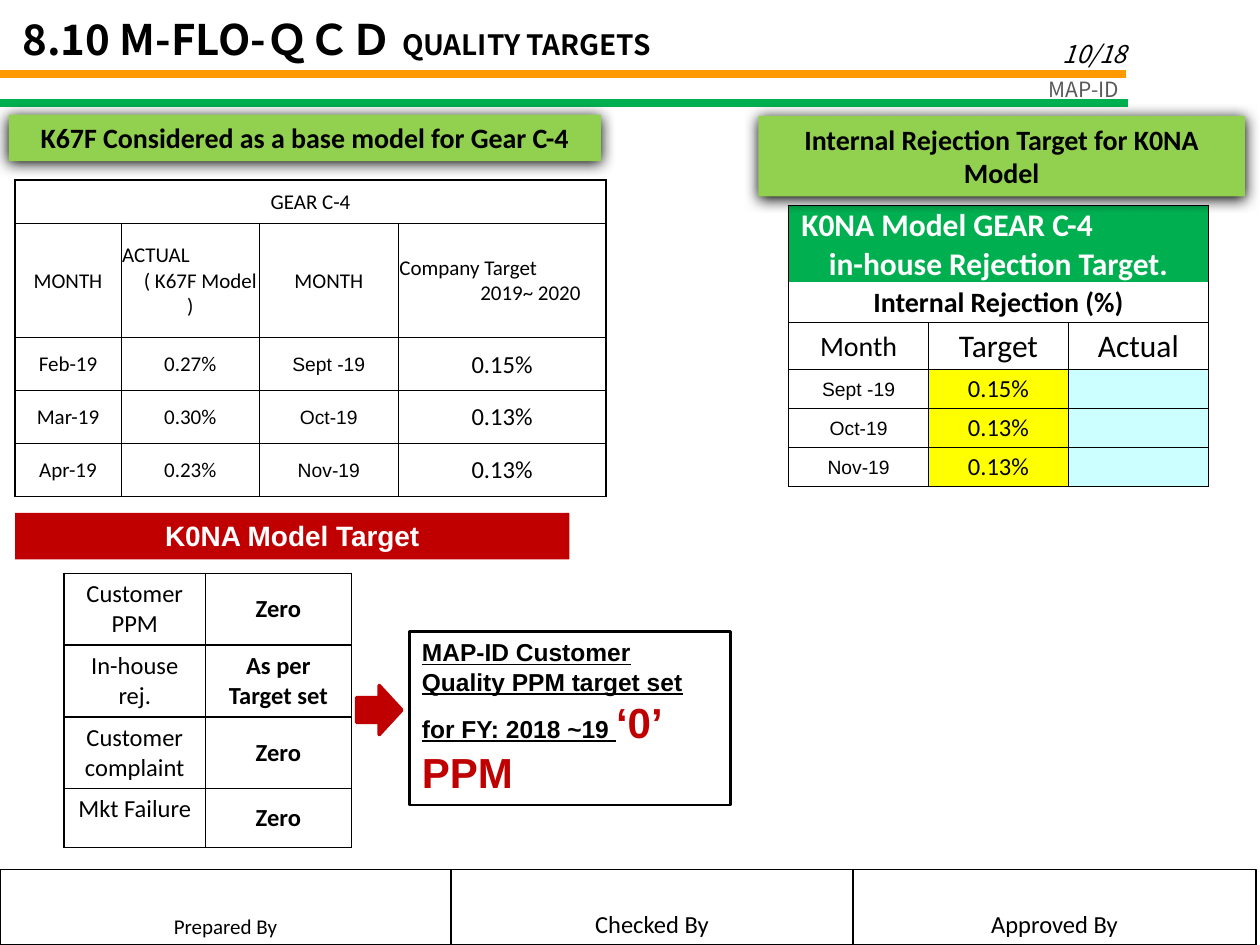
from lxml import etree
from pptx import Presentation
from pptx.dml.color import RGBColor
from pptx.enum.shapes import MSO_CONNECTOR, MSO_SHAPE
from pptx.enum.text import MSO_ANCHOR, PP_ALIGN
from pptx.oxml.ns import qn
from pptx.util import Inches, Pt

LEFT, CENTER, RIGHT = PP_ALIGN.LEFT, PP_ALIGN.CENTER, PP_ALIGN.RIGHT
TOP, MIDDLE, BOTTOM = MSO_ANCHOR.TOP, MSO_ANCHOR.MIDDLE, MSO_ANCHOR.BOTTOM
RECT, ARROW = MSO_SHAPE.RECTANGLE, MSO_SHAPE.RIGHT_ARROW
SANS, BODY, HEAD = "Arial", "Calibri", "Noto Sans CJK JP"
COLORS = {
    "black": "000000", "white": "FFFFFF", "grey": "595959", "orange": "FF9900",
    "green": "00B050", "lime": "92D050", "red": "C00000",
    "yellow": "FFFF00", "cyan": "CCFFFF",
}

prs = Presentation()
prs.slide_width, prs.slide_height = Inches(10), Inches(7.5)
slide = prs.slides.add_slide(prs.slide_layouts[6])
# Grid of 100 columns by 75 rows
COL, ROW = prs.slide_width / 100, prs.slide_height / 75


def write(frame, paragraphs, anchor=TOP):
    """Each paragraph is (alignment, first-line indent, runs);
    each run is (text, size, font, colour, style letters)."""
    frame.word_wrap = True
    frame.vertical_anchor = anchor
    for number, (align, indent, runs) in enumerate(paragraphs):
        paragraph = frame.add_paragraph() if number else frame.paragraphs[0]
        paragraph.alignment = align
        if indent:
            paragraph._p.get_or_add_pPr().set("indent", str(int(indent * COL)))
        for text, size, font, color, style in runs:
            run = paragraph.add_run()
            run.text = text
            run.font.size, run.font.name = Pt(size), font
            run.font.color.rgb = RGBColor.from_string(COLORS[color])
            run.font.bold, run.font.italic = "b" in style, "i" in style
            run.font.underline = "u" in style


def add_box(shapes, kind, place, fill=None, line=None, width=1):
    left, top, wide, high = place
    box = shapes.add_shape(kind, int(left * COL), int(top * ROW), int(wide * COL), int(high * ROW))
    box.shadow.inherit = False
    if fill:
        box.fill.solid()
        box.fill.fore_color.rgb = RGBColor.from_string(COLORS[fill])
    else:
        box.fill.background()
    if line:
        box.line.color.rgb = RGBColor.from_string(COLORS[line])
        box.line.width = Pt(width)
    else:
        box.line.fill.background()
    return box


# Header rules
for right, y, color in ((89.4, 5.9, "orange"), (89.5, 8.2, "green")):
    rule = slide.shapes.add_connector(
        MSO_CONNECTOR.STRAIGHT, 0, int(y * ROW), int(right * COL), int(y * ROW))
    rule.line.color.rgb = RGBColor.from_string(COLORS[color])
    rule.line.width = Pt(4.5)
    etree.SubElement(rule._element.spPr, qn("a:effectLst"))

# Page number, document mark and title
headings = [
    ((69.6, 0.9, 20.8, 5), RIGHT, BOTTOM, [("10/18", 14, HEAD, "black", "i")]),
    ((74.8, 5.6, 15, 3), RIGHT, TOP, [("MAP-ID", 12, HEAD, "grey", "")]),
    ((0.8, 0.6, 88.8, 5), LEFT, TOP, [("8.10 M-FLO-ＱＣＤ ", 24, HEAD, "black", "b"),
                                      ("QUALITY TARGETS", 16, HEAD, "black", "b")]),
]
for (left, top, wide, high), align, anchor, runs in headings:
    heading = slide.shapes.add_textbox(int(left * COL), int(top * ROW), int(wide * COL), int(high * ROW))
    write(heading.text_frame, [(align, 0, runs)], anchor)

# Cell styles: size, font, colour, style letters
plain, month, value = (12, BODY, "black", ""), (11, SANS, "black", ""), (14, BODY, "black", "")
bold, large, label = (14, BODY, "black", "b"), (18, BODY, "black", ""), (16, BODY, "black", "")
banner, subtitle = (18, BODY, "white", "b"), (16, BODY, "black", "b")

# Cells hold (text or paragraphs, style, fill)
goals = [("Customer PPM", "Zero"), ("In-house rej.", "As per Target set"),
         ("Customer complaint", "Zero"), ("Mkt Failure", "Zero")]
goal_rows = [[(name, value, None), (goal, bold, None)] for name, goal in goals]

targets = [("Sept -19", "0.15%"), ("Oct-19", "0.13%"), ("Nov-19", "0.13%")]
rejection_rows = [
    [([("K0NA Model GEAR C-4", LEFT, 0.9), ("in-house Rejection Target.", CENTER, 0)], banner, "green")],
    [("Internal Rejection (%)", subtitle, None)],
    [("Month", label, None), ("Target", large, None), ("Actual", large, None)],
] + [[(when, month, None), (target, value, "yellow"), ("", month, "cyan")] for when, target in targets]

actuals = [("Feb-19", "0.27%"), ("Mar-19", "0.30%"), ("Apr-19", "0.23%")]
base_rows = [
    [("GEAR C-4", plain, None)],
    [("MONTH", plain, None),
     ([("ACTUAL", LEFT, 0), ("( K67F Model )", CENTER, 1.6)], plain, None),
     ("MONTH", plain, None),
     ([("Company Target", LEFT, 0), ("2019~ 2020", CENTER, 4.5)], plain, None)],
] + [[(past, plain, None), (actual, plain, None), (when, month, None), (target, value, None)]
     for (past, actual), (when, target) in zip(actuals, targets)]

# Tables: position, column widths, row heights, cells, inner and bottom line, tight margins
tables = [
    ((5.1, 45.5), [11.2, 11.6], [5.7, 5.7, 5.6, 4.7], goal_rows, 1, 1, False),
    ((62.6, 16.3), [11.1] * 3, [6.1, 3.2, 3.7, 3, 3, 3.1], rejection_rows, 0.5, 0.5, True),
    ((1.2, 14.3), [8.4, 11, 11, 16.5], [3.4, 9.1, 4.2, 4.2, 4.2], base_rows, 0.5, 1, True),
]
for (left, top), widths, heights, rows, inner, bottom, tight in tables:
    table = slide.shapes.add_table(
        len(heights), len(widths), int(left * COL), int(top * ROW),
        int(sum(widths) * COL), int(sum(heights) * ROW)).table
    table.first_row = table.horz_banding = False
    for column, wide in zip(table.columns, widths):
        column.width = int(wide * COL)
    last_row, last_column = len(heights) - 1, len(widths) - 1
    for r, (row, high) in enumerate(zip(rows, heights)):
        table.rows[r].height = int(high * ROW)
        merged = len(row) == 1
        if merged:
            table.cell(r, 0).merge(table.cell(r, last_column))
        for c, (content, style, fill) in enumerate(row):
            cell = table.cell(r, c)
            if tight:
                cell.margin_left = cell.margin_right = cell.margin_top = int(0.1 * COL)
                cell.margin_bottom = 0
            # The green banner runs into the row below without a line
            under_banner = 0 if fill == "green" or content == "Internal Rejection (%)" else inner
            borders = {
                "L": 1 if c == 0 else inner,
                "R": 1 if merged or c == last_column else inner,
                "T": 1 if r == 0 else under_banner,
                "B": bottom if r == last_row else 0 if fill == "green" else inner,
            }
            for side, width in borders.items():
                edge = etree.SubElement(cell._tc.get_or_add_tcPr(), qn("a:ln" + side), w=str(Pt(width)))
                if width:
                    ink = etree.SubElement(edge, qn("a:solidFill"))
                    etree.SubElement(ink, qn("a:srgbClr"), val=COLORS["black"])
                else:
                    etree.SubElement(edge, qn("a:noFill"))
            if fill:
                cell.fill.solid()
                cell.fill.fore_color.rgb = RGBColor.from_string(COLORS[fill])
            else:
                cell.fill.background()
            lines = [(content, CENTER, 0)] if isinstance(content, str) else content
            write(cell.text_frame, [(align, indent, [(text, *style)]) for text, align, indent in lines])
            cell.vertical_anchor = MIDDLE if tight or c else TOP

# Section banners
sections = [
    ((60.2, 9.2, 38.6, 6.4), "lime", "Internal Rejection Target for K0NA Model", subtitle),
    ((0.7, 9.1, 47, 3.7), "lime", "K67F Considered as a base model for Gear C-4", subtitle),
    ((1.2, 40.7, 44, 3.7), "red", "K0NA Model Target", (16, SANS, "white", "b")),
]
for place, fill, text, style in sections:
    section = add_box(slide.shapes, RECT, place, fill)
    write(section.text_frame, [(CENTER, 0, [(text, *style)])])
    if fill == "lime":
        effects = section._element.spPr.find(qn("a:effectLst"))
        shadow = etree.SubElement(effects, qn("a:outerShdw"), blurRad=str(Pt(8.5)),
                                  dist=str(Pt(1)), dir="5400000", algn="t", rotWithShape="0")
        etree.SubElement(shadow, qn("a:srgbClr"), val=COLORS["black"])

# Arrow to the customer target
add_box(slide.shapes, ARROW, (28.3, 54.4, 3.6, 3.9), "red", "red", 2)
ppm_target = add_box(slide.shapes, RECT, (32.5, 50.1, 25.5, 13.8), None, "black", 1.5)
write(ppm_target.text_frame, [(LEFT, 0, [
    ("MAP-ID Customer Quality PPM target set for FY: 2018 ~19 ", 14, SANS, "black", "bu"),
    ("‘0’ PPM", 24, SANS, "red", "b")])])

# Sign-off strip
sign_off = slide.shapes.add_group_shape()
left = 0
for wide, text, size in ((35.8, "Prepared By", 12), (31.9, "Checked By", 14), (32, "Approved By", 14)):
    signature = add_box(sign_off.shapes, RECT, (left, 69, wide, 6), None, "black", 0.75)
    write(signature.text_frame, [(CENTER, 0, [(text, size, BODY, "black", "")])], BOTTOM)
    left += wide

prs.save("out.pptx")
